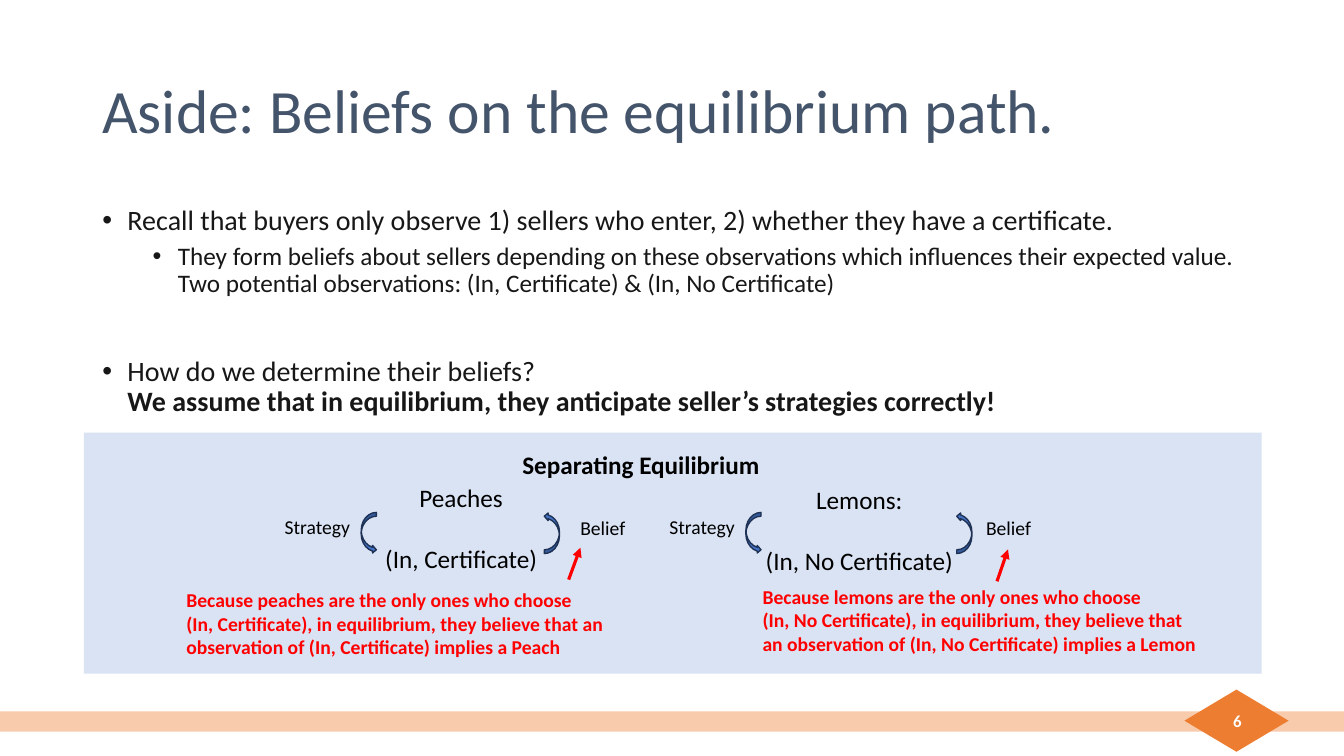
from lxml.etree import SubElement
from pptx import Presentation
from pptx.dml.color import RGBColor
from pptx.enum.shapes import MSO_CONNECTOR, MSO_SHAPE
from pptx.enum.text import MSO_ANCHOR, PP_ALIGN
from pptx.oxml.ns import qn
from pptx.util import Pt

SLATE = RGBColor(0x44, 0x54, 0x6A)
INK = RGBColor(0x18, 0x17, 0x17)
BLACK = RGBColor(0x00, 0x00, 0x00)
WHITE = RGBColor(0xFF, 0xFF, 0xFF)
RED = RGBColor(0xFF, 0x00, 0x00)
PEACH = RGBColor(0xF8, 0xCB, 0xAD)
ORANGE = RGBColor(0xED, 0x7D, 0x31)
PALE_BLUE = RGBColor(0xDA, 0xE3, 0xF3)
BLUE = RGBColor(0x44, 0x72, 0xC4)
NAVY = RGBColor(0x1E, 0x32, 0x56)

# Grid of 160 columns by 90 rows, in square cells of 6 points
CELL = Pt(6)
prs = Presentation()
prs.slide_width, prs.slide_height = 160 * CELL, 90 * CELL
s = prs.slides.add_slide(prs.slide_layouts[6])


def grid(*cells):
    return [round(c * CELL) for c in cells]


def write(text, at=None, tf=None, size=18, color=BLACK, bold=False, bold_last=False,
          align=PP_ALIGN.LEFT, anchor=MSO_ANCHOR.TOP, wrap=False,
          spacing=None, before=0, indent=None):
    """Write one paragraph in a new box, or add it to the frame tf."""
    if tf is None:
        tf = s.shapes.add_textbox(*grid(*at)).text_frame
        tf.word_wrap, tf.vertical_anchor = wrap, anchor
        p = tf.paragraphs[0]
    else:
        p = tf.add_paragraph()
    p.alignment, p.space_before = align, Pt(before)
    if spacing:
        p.line_spacing = spacing
    if indent:
        pPr = p._p.get_or_add_pPr()
        pPr.set("marL", str(Pt(indent)))
        pPr.set("indent", str(-Pt(18)))
        SubElement(pPr, qn("a:buFont"), typeface="Arial")
        SubElement(pPr, qn("a:buChar"), char="•")
    lines = text.split("\n")
    for i, line in enumerate(lines):
        if i:
            p.add_line_break()
        r = p.add_run()
        r.text = line
        r.font.name, r.font.size = "Calibri", Pt(size)
        r.font.color.rgb = color
        r.font.bold = bold or (bold_last and i == len(lines) - 1)
    return tf


def shape(kind, at, fill, line=None, rotation=0):
    sp = s.shapes.add_shape(kind, *grid(*at))
    sp.shadow.inherit = False
    sp.rotation = rotation
    sp.fill.solid()
    sp.fill.fore_color.rgb = fill
    if line:
        sp.line.color.rgb, sp.line.width = line, Pt(1)
    else:
        sp.line.fill.background()


# Footer band, slide number and panel
shape(MSO_SHAPE.RECTANGLE, (0, 84.7, 160, 2.4), PEACH)
shape(MSO_SHAPE.DIAMOND, (141, 82.1, 12.4, 7.4), ORANGE)
shape(MSO_SHAPE.RECTANGLE, (10, 51.5, 140.2, 28.7), PALE_BLUE)
write("6", (113, 83.4, 36, 4.8), size=12, color=WHITE, bold=True,
      align=PP_ALIGN.RIGHT, anchor=MSO_ANCHOR.MIDDLE, wrap=True)

# Title and bullets
write("Aside: Beliefs on the equilibrium path.", (11, 4.8, 138, 17.4), size=44,
      color=SLATE, anchor=MSO_ANCHOR.MIDDLE, wrap=True, spacing=0.9)
body = write("Recall that buyers only observe 1) sellers who enter, "
             "2) whether they have a certificate.", (11, 24, 138, 28.7),
             size=20, color=INK, wrap=True, spacing=0.9, indent=18)
write("They form beliefs about sellers depending on these observations which "
      "influences their expected value.\n"
      "Two potential observations: (In, Certificate) & (In, No Certificate)",
      tf=body, color=INK, spacing=0.9, before=5, indent=54)
write("How do we determine their beliefs?\n"
      "We assume that in equilibrium, they anticipate seller’s strategies correctly!",
      tf=body, size=20, color=INK, bold_last=True, spacing=0.9, before=42, indent=18)

# Separating equilibrium: one loop of strategy and belief per seller type
write("Separating Equilibrium", (61, 52.9, 30.8, 4.8), bold=True)
loops = [
    # seller, signal, box, strategy arrow, belief arrow, belief label
    ("Peaches", "(In, Certificate)", (44.5, 56.8, 20.8, 12.1), 43, 64.8, 67.9),
    ("Lemons:", "(In, No Certificate)", (89.8, 57.1, 25, 12.1), 88.8, 113.9, 116.2),
]
for seller, signal, box, down, up, belief in loops:
    tf = write(seller, box, align=PP_ALIGN.CENTER)
    write(signal, tf=tf, align=PP_ALIGN.CENTER, before=22)
    for x, turn in ((down, 0), (up, 180)):
        shape(MSO_SHAPE.CURVED_RIGHT_ARROW, (x, 61, 1.8, 4.9), BLUE, NAVY, turn)
    write("Strategy", (down - 10.3, 60.7, 10.3, 4.1), size=14)
    write("Belief", (belief, 60.8, 7.8, 4.1), size=14)

# Red explanations, each with an arrow up to its belief
reasons = [
    ("Because peaches are the only ones who choose\n(In, Certificate), in equilibrium, "
     "they believe that an observation of (In, Certificate) implies a Peach",
     (21, 69.4, 52.4, 9.7), (67.7, 69, 69.1, 65.2)),
    ("Because lemons are the only ones who choose\n(In, No Certificate), in equilibrium, "
     "they believe that an observation of (In, No Certificate) implies a Lemon",
     (89.6, 69, 54.6, 9.7), (118.7, 69.2, 120, 65.4)),
]
for reason, box, ends in reasons:
    write(reason, box, size=14, color=RED, bold=True, wrap=True)
    arrow = s.shapes.add_connector(MSO_CONNECTOR.STRAIGHT, *grid(*ends))
    arrow.line.color.rgb, arrow.line.width = RED, Pt(2.25)
    SubElement(arrow.line._get_or_add_ln(), qn("a:tailEnd"), type="triangle")
    SubElement(arrow._element.spPr, qn("a:effectLst"))

prs.save("out.pptx")
